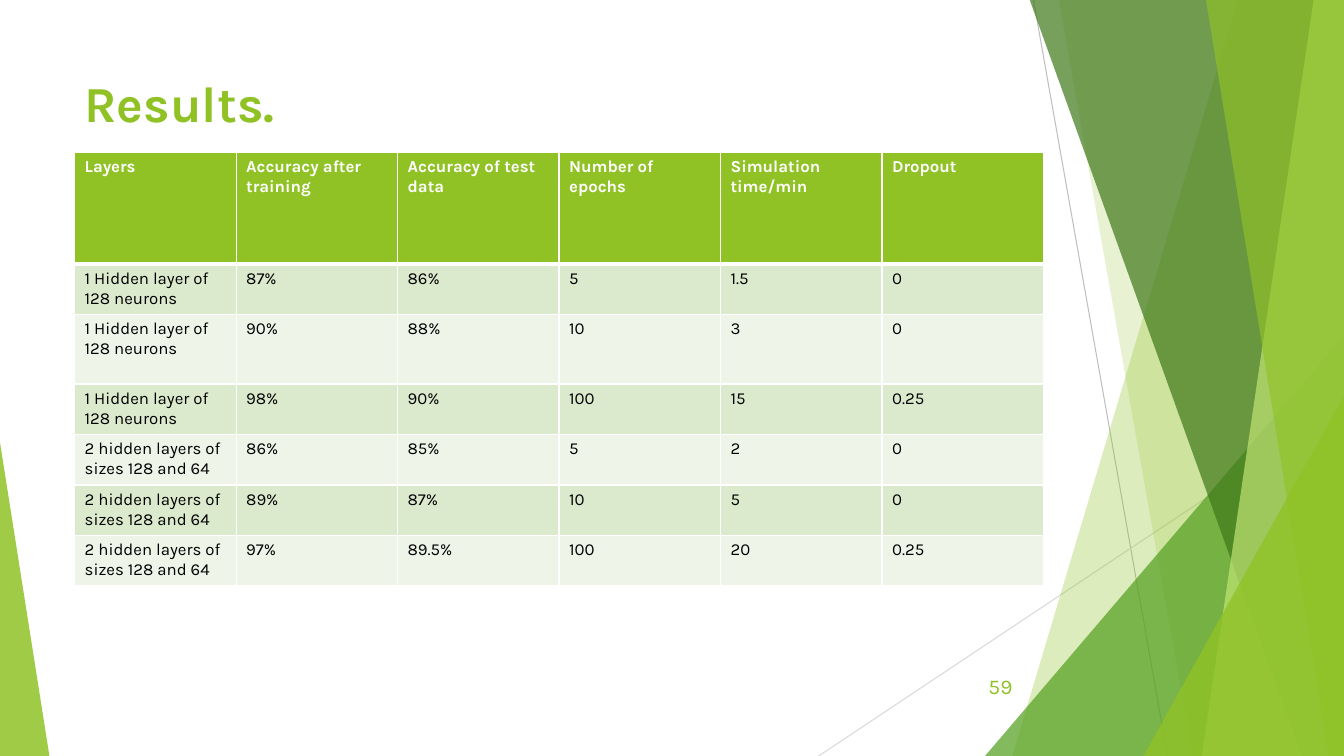
from lxml.etree import SubElement
from pptx import Presentation
from pptx.dml.color import RGBColor
from pptx.enum.shapes import MSO_CONNECTOR, MSO_SHAPE
from pptx.enum.text import MSO_ANCHOR, PP_ALIGN
from pptx.oxml.ns import qn
from pptx.util import Inches, Pt

WHITE = RGBColor(0xFF, 0xFF, 0xFF)
BLACK = RGBColor(0x00, 0x00, 0x00)
LIME = RGBColor(0x90, 0xC2, 0x26)
PALE_LIME = RGBColor(0xC0, 0xE4, 0x74)
LEAF = RGBColor(0x54, 0xA0, 0x21)
FOREST = RGBColor(0x3F, 0x78, 0x19)
BAND_DARK = RGBColor(0xDB, 0xE9, 0xCD)
BAND_LIGHT = RGBColor(0xEE, 0xF4, 0xE8)
GREY = RGBColor(0xBF, 0xBF, 0xBF)
LIGHT_GREY = RGBColor(0xD9, 0xD9, 0xD9)

WIDTH, HEIGHT = 13.33, 7.5
ONE_LAYER = "1 Hidden layer of 128 neurons"
TWO_LAYERS = "2 hidden layers of sizes 128 and 64"
RESULTS = [
    ["Layers", "Accuracy after training", "Accuracy of test data",
     "Number of epochs", "Simulation time/min", "Dropout"],
    [ONE_LAYER, "87%", "86%", "5", "1.5", "0"],
    [ONE_LAYER, "90%", "88%", "10", "3", "0"],
    [ONE_LAYER, "98%", "90%", "100", "15", "0.25"],
    [TWO_LAYERS, "86%", "85%", "5", "2", "0"],
    [TWO_LAYERS, "89%", "87%", "10", "5", "0"],
    [TWO_LAYERS, "97%", "89.5%", "100", "20", "0.25"],
]
ROW_HEIGHTS = [1.11, 0.49, 0.69, 0.49, 0.49, 0.49, 0.49]


class FacetSlide:
    """Draws the elements of one slide in a shared green style."""

    font_name = "Karla"

    def __init__(self, slide):
        self.slide = slide
        self.shapes = slide.shapes

    def hairline(self, start, end, color):
        line = self.shapes.add_connector(
            MSO_CONNECTOR.STRAIGHT, *map(Inches, start + end))
        line.line.color.rgb = color
        line.line.width = Pt(0.75)
        SubElement(line._element.spPr, qn("a:effectLst"))

    def paint(self, facet, color, opacity):
        facet.shadow.inherit = False
        facet.fill.solid()
        facet.fill.fore_color.rgb = color
        facet.line.fill.background()
        tint = facet._element.spPr.find(qn("a:solidFill"))[0]
        SubElement(tint, qn("a:alpha"), val=str(opacity * 1000))

    def band(self, top_left, bottom_left, color, opacity):
        outline = self.shapes.build_freeform(
            Inches(top_left), Inches(-0.01), scale=1.0)
        corners = [(WIDTH, -0.01), (WIDTH, HEIGHT), (bottom_left, HEIGHT)]
        outline.add_line_segments(
            [(Inches(x), Inches(y)) for x, y in corners], close=True)
        self.paint(outline.convert_to_shape(), color, opacity)

    def triangle(self, left, top, width, apex, color, opacity):
        facet = self.shapes.add_shape(
            MSO_SHAPE.ISOSCELES_TRIANGLE, Inches(left), Inches(top),
            Inches(width), Inches(HEIGHT - top))
        facet.adjustments[0] = apex
        self.paint(facet, color, opacity)

    def add_wording(self, paragraph, wording, size, color, bold=False):
        run = paragraph.add_run()
        run.text = wording
        run.font.name = self.font_name
        run.font.size = Pt(size)
        run.font.color.rgb = color
        run.font.bold = bold

    def text(self, box, wording, size, bold=False,
             align=PP_ALIGN.LEFT, anchor=MSO_ANCHOR.TOP):
        frame = self.shapes.add_textbox(*map(Inches, box)).text_frame
        frame.word_wrap = True
        frame.vertical_anchor = anchor
        frame.paragraphs[0].alignment = align
        self.add_wording(frame.paragraphs[0], wording, size, LIME, bold)

    def border(self, cell, **widths):
        properties = cell._tc.get_or_add_tcPr()
        for side, points in widths.items():
            edge = SubElement(properties, qn(f"a:{side}"), w=str(Pt(points)))
            fill = SubElement(edge, qn("a:solidFill"))
            SubElement(fill, qn("a:srgbClr"), val=str(WHITE))

    def table(self, left, top, width, rows, heights):
        table = self.shapes.add_table(
            len(rows), len(rows[0]), Inches(left), Inches(top),
            Inches(width), Inches(sum(heights))).table
        for row, height in zip(table.rows, heights):
            row.height = Inches(height)
        for r, row in enumerate(rows):
            header = r == 0
            band = LIME if header else BAND_DARK if r % 2 else BAND_LIGHT
            for c, wording in enumerate(row):
                cell = table.cell(r, c)
                self.border(cell, lnL=1, lnR=1, lnT=3 if r == 1 else 1,
                            lnB=3 if header else 1)
                cell.fill.solid()
                cell.fill.fore_color.rgb = band
                self.add_wording(cell.text_frame.paragraphs[0], wording, 12,
                                 WHITE if header else BLACK, header)


def main():
    deck = Presentation()
    deck.slide_width, deck.slide_height = Inches(WIDTH), Inches(HEIGHT)
    page = FacetSlide(deck.slides.add_slide(deck.slide_layouts[6]))

    page.hairline((10.25, 0), (11.58, HEIGHT), GREY)
    page.hairline((WIDTH, 4.03), (8.12, HEIGHT), LIGHT_GREY)
    page.band(12.28, 10.04, LIME, 30)
    page.band(10.5, 11.83, LIME, 20)
    page.triangle(9.77, 3.33, 3.56, 1, LEAF, 72)
    page.band(10.21, 12.91, FOREST, 70)
    page.band(13.03, 11.92, PALE_LIME, 70)
    page.band(11.96, 13.18, LIME, 65)
    page.triangle(11.34, 3.93, 1.99, 1, LIME, 80)
    page.triangle(0, 4.39, 0.49, 0, LIME, 85)

    page.text((0.74, 0.67, 9.4, 1.44), "Results.", 36, bold=True)
    page.table(0.74, 1.51, 9.61, RESULTS, ROW_HEIGHTS)
    page.text((9.39, 6.61, 0.75, 0.4), "59", 15,
              align=PP_ALIGN.RIGHT, anchor=MSO_ANCHOR.MIDDLE)
    deck.save("out.pptx")


if __name__ == "__main__":
    main()
